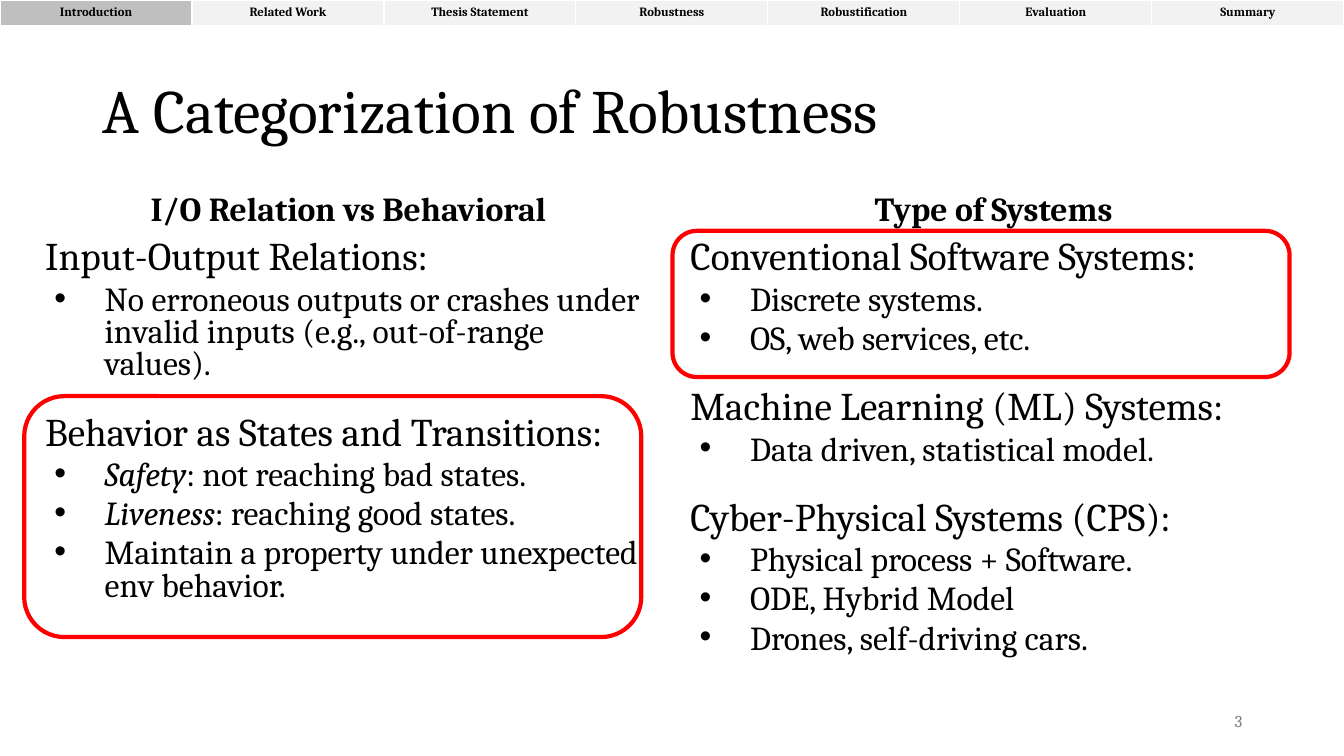
import pptx
import pptx.util
import pptx.dml.color
import pptx.enum.shapes
import pptx.enum.text
import pptx.oxml
import pptx.oxml.ns
from dataclasses import dataclass

Inches = pptx.util.Inches
Pt = pptx.util.Pt
Align = pptx.enum.text.PP_ALIGN
Anchor = pptx.enum.text.MSO_ANCHOR


@dataclass(frozen=True)
class Theme:
    face: str = "Cambria"
    ink: str = "000000"
    muted: str = "797979"
    highlight: str = "FF0000"
    tab: str = "F2F2F2"
    active_tab: str = "BFBFBF"
    title: int = 44
    topic: int = 28
    body: int = 24
    page: int = 12
    nav: int = 9


THEME = Theme()
SLIDE_WIDTH, SLIDE_HEIGHT = 13.33, 7.5
HEADING_HEIGHT = 0.5

SECTIONS = ["Introduction", "Related Work", "Thesis Statement", "Robustness",
            "Robustification", "Evaluation", "Summary"]

# Each point is (italic lead, remaining text).
BEHAVIOR_TOPICS = [
    ("Input-Output Relations:", [
        ("", "No erroneous outputs or crashes under invalid inputs "
             "(e.g., out-of-range values).")]),
    ("Behavior as States and Transitions:", [
        ("Safety", ": not reaching bad states."),
        ("Liveness", ": reaching good states."),
        ("", "Maintain a property under unexpected env behavior.")]),
]
SYSTEM_TOPICS = [
    ("Conventional Software Systems:", [
        ("", "Discrete systems."), ("", "OS, web services, etc.")]),
    ("Machine Learning (ML) Systems:", [
        ("", "Data driven, statistical model.")]),
    ("Cyber-Physical Systems (CPS):", [
        ("", "Physical process + Software."),
        ("", "ODE, Hybrid Model"),
        ("", "Drones, self-driving cars.")]),
]


def rgb(value):
    return pptx.dml.color.RGBColor.from_string(value)


def style(paragraph, size, color=THEME.ink, bold=False, align=Align.LEFT, spacing=None):
    font = paragraph.font
    font.name, font.size, font.bold = THEME.face, Pt(size), bold
    font.color.rgb = rgb(color)
    paragraph.alignment = align
    if spacing:
        paragraph.line_spacing = spacing


def add_frame(slide, left, top, width, height, anchor=Anchor.MIDDLE):
    box = slide.shapes.add_textbox(Inches(left), Inches(top), Inches(width), Inches(height))
    frame = box.text_frame
    frame.word_wrap = True
    frame.vertical_anchor = anchor
    return frame


def add_line(slide, text, box, size, **look):
    """Place a single middle-anchored paragraph in the box."""
    paragraph = add_frame(slide, *box).paragraphs[0]
    paragraph.text = text
    style(paragraph, size, **look)


def add_bullet(paragraph):
    properties = paragraph._p.get_or_add_pPr()
    properties.set("marL", str(Inches(0.59)))
    properties.set("indent", str(Inches(-0.5)))
    for tag, name, value in (("buFont", "typeface", "Arial"), ("buChar", "char", "•")):
        mark = properties.makeelement(pptx.oxml.ns.qn(f"a:{tag}"), {name: value})
        properties.append(mark)


def add_column(slide, heading, topics, left, top, width, height):
    """Stack a centred heading over topics with bulleted points."""
    add_line(slide, heading, (left, top, width, HEADING_HEIGHT), THEME.body,
             bold=True, align=Align.CENTER, spacing=0.9)
    frame = add_frame(slide, left, top + HEADING_HEIGHT, width,
                      height - HEADING_HEIGHT, Anchor.TOP)
    for index, (topic, points) in enumerate(topics):
        title = frame.add_paragraph() if index else frame.paragraphs[0]
        title.text = topic
        style(title, THEME.topic, spacing=0.8)
        if index:
            title.space_before = Pt(24)
        for lead, rest in points:
            point = frame.add_paragraph()
            add_bullet(point)
            style(point, THEME.body, spacing=0.8)
            point.space_before = Pt(5)
            if lead:
                run = point.add_run()
                run.text = lead
                run.font.italic = True
            point.add_run().text = rest


def add_highlight(slide, left, top, width, height):
    outline = slide.shapes.add_shape(
        pptx.enum.shapes.MSO_SHAPE.ROUNDED_RECTANGLE,
        Inches(left), Inches(top), Inches(width), Inches(height))
    outline.shadow.inherit = False
    outline.fill.background()
    outline.line.color.rgb = rgb(THEME.highlight)
    outline.line.width = Pt(3)


def add_navigation(slide, active, left, top, width, height):
    bar = slide.shapes.add_table(1, len(SECTIONS), Inches(left), Inches(top),
                                 Inches(width), Inches(height)).table
    bar.first_row = bar.horz_banding = False
    for index, section in enumerate(SECTIONS):
        bar.columns[index].width = Inches(width / len(SECTIONS))
        cell = bar.cell(0, index)
        cell.fill.solid()
        cell.fill.fore_color.rgb = rgb(THEME.active_tab if section == active else THEME.tab)
        cell.text = section
        style(cell.text_frame.paragraphs[0], THEME.nav, bold=True, align=Align.CENTER)


def add_categorization_slide(deck):
    slide = deck.slides.add_slide(deck.slide_layouts[6])
    add_line(slide, "A Categorization of Robustness", (0.92, 0.4, 11.5, 1.45),
             THEME.title, spacing=0.9)
    add_column(slide, "I/O Relation vs Behavioral", BEHAVIOR_TOPICS, 0.35, 1.84, 6.21, 5.51)
    add_column(slide, "Type of Systems", SYSTEM_TOPICS, 6.75, 1.84, 6.21, 4.93)
    add_line(slide, "3", (9.42, 6.95, 3, 0.4), THEME.page,
             color=THEME.muted, align=Align.RIGHT)
    add_highlight(slide, 0.24, 3.93, 6.12, 2.39)
    add_highlight(slide, 6.67, 2.29, 6.12, 1.45)
    add_navigation(slide, "Introduction", 0, 0, SLIDE_WIDTH, 0.25)


def main():
    deck = pptx.Presentation()
    deck.slide_width, deck.slide_height = Inches(SLIDE_WIDTH), Inches(SLIDE_HEIGHT)
    add_categorization_slide(deck)
    deck.save("out.pptx")


if __name__ == "__main__":
    main()
